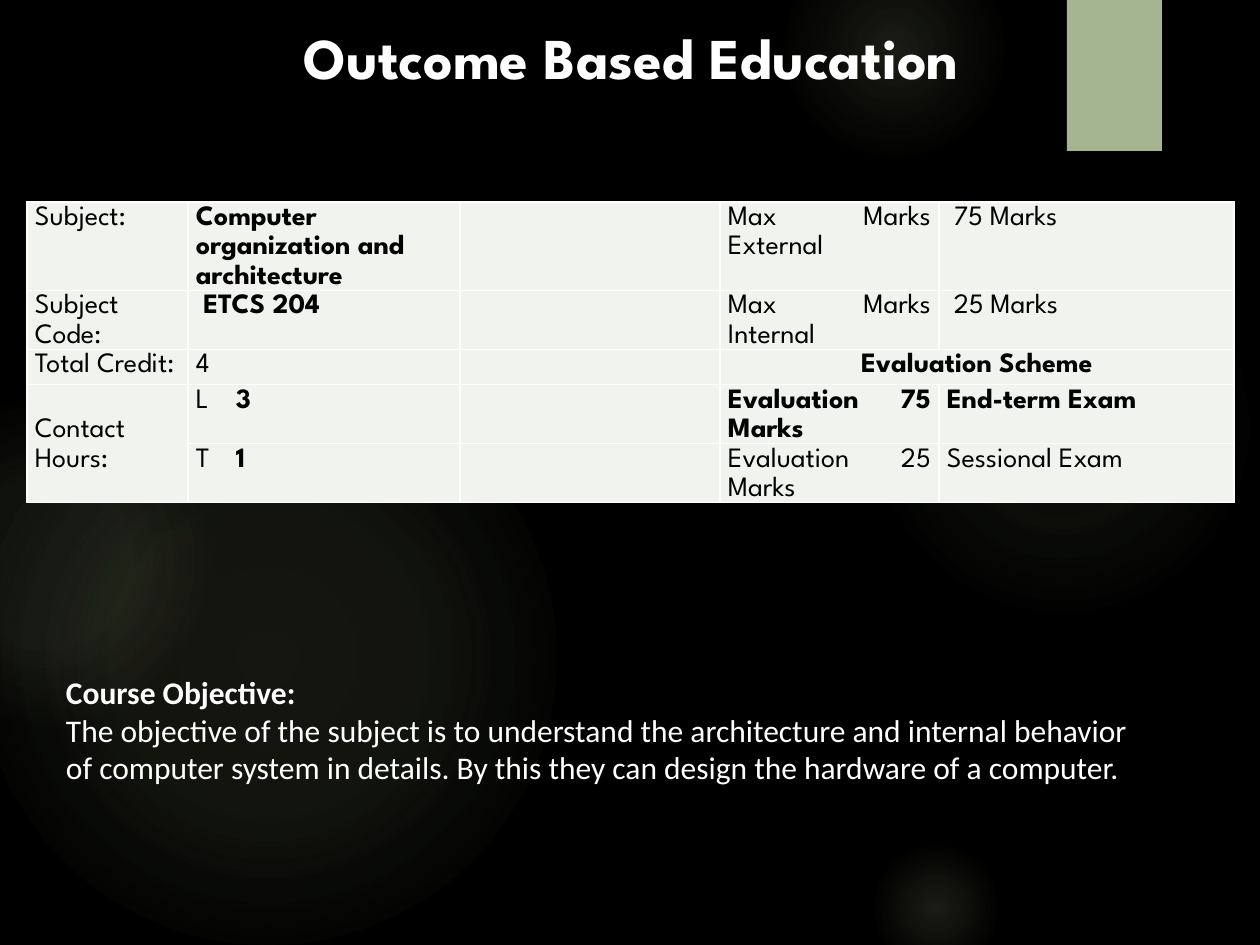
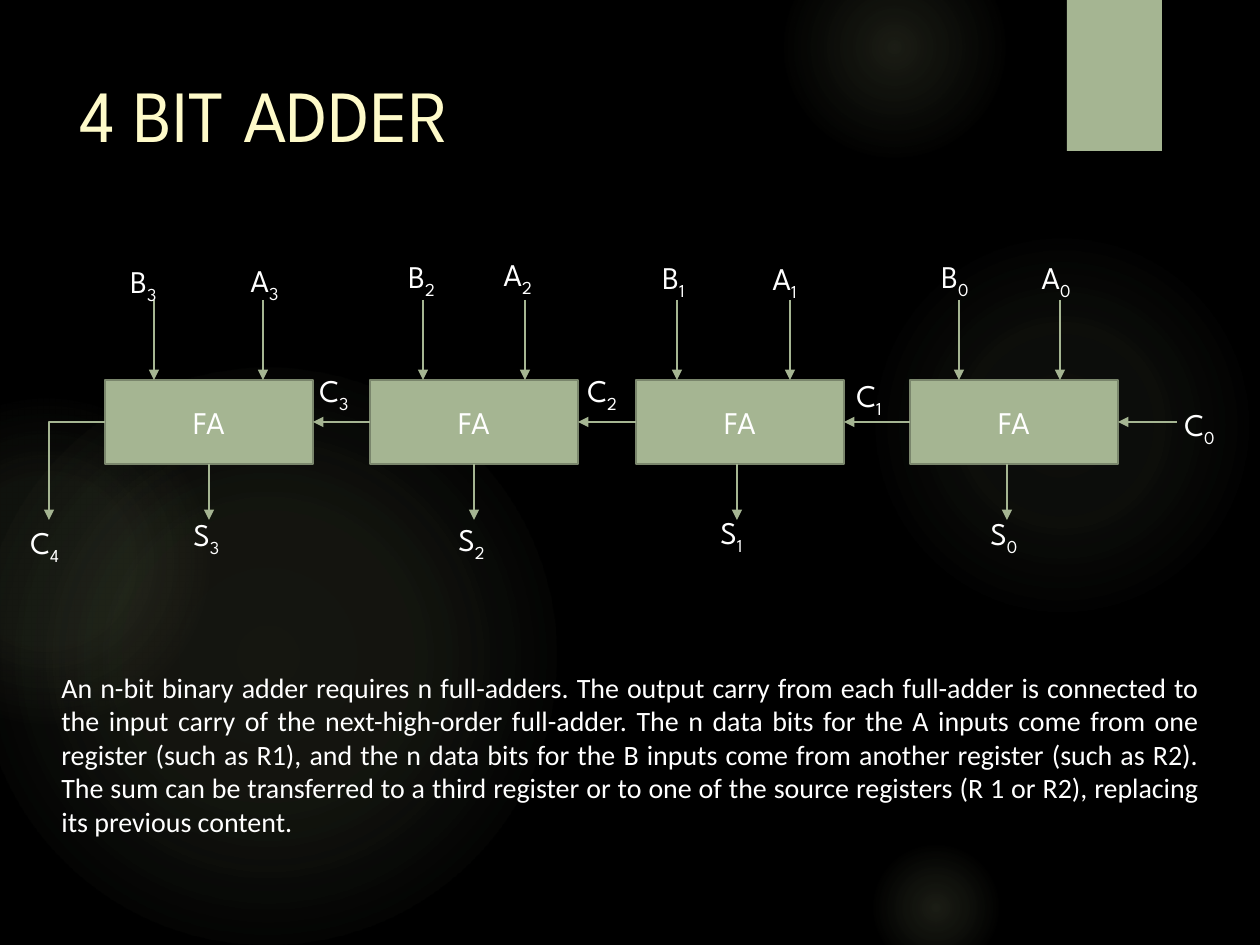
from lxml import etree
from pptx import Presentation
from pptx.dml.color import RGBColor
from pptx.enum.shapes import MSO_CONNECTOR as Wire, MSO_SHAPE as Shape
from pptx.enum.text import MSO_ANCHOR as Anchor, MSO_AUTO_SIZE as Fit, PP_ALIGN as Align
from pptx.oxml import parse_xml
from pptx.oxml.ns import nsdecls, qn
from pptx.util import Pt

PX = 7257.14  # EMU per px, 126 px to the inch
BLACK = RGBColor(0x00, 0x00, 0x00)
WHITE = RGBColor(0xFF, 0xFF, 0xFF)
CREAM = RGBColor(0xFE, 0xFA, 0xC9)
SAGE = RGBColor(0xA5, 0xB5, 0x92)
MOSS = RGBColor(0x7A, 0x86, 0x6C)
PALE = RGBColor(0xF0, 0xF3, 0xEE)
GLOW = RGBColor(0xBE, 0xCB, 0x95)
HEAD, BODY = "League Spartan", "Calibri"


def px(*vals):
    return [round(v * PX) for v in vals]


def write(para, runs, size, color=WHITE, font=HEAD, align=None, gap=None):
    """Add (text, style) runs; style is "", "bold" or "sub"."""
    para.alignment = align
    para.line_spacing = gap
    for text, style in runs:
        run = para.add_run()
        run.text = text
        run.font.size, run.font.name = Pt(size), font
        run.font.bold = style == "bold"
        run.font.color.rgb = color
        if style == "sub":
            run._r.get_or_add_rPr().set("baseline", "-25000")


prs = Presentation()
prs.slide_width, prs.slide_height = px(1260, 945)
layout = prs.slide_layouts[5]
layout.background.fill.solid()
layout.background.fill.fore_color.rgb = BLACK
course = prs.slides.add_slide(layout)
adder = prs.slides.add_slide(layout)

# Shared backdrop: soft glows and the corner band, moved to the layout
glows = [  # left, top, side, stops of (position, opacity)
    (868, 231, 388, ((0, 7), (36, 6), (69, 0))),
    (784, -63, 221, ((0, 14), (36, 7), (73, 0))),
    (868, 840, 136, ((0, 14), (36, 7), (66, 0))),
    (-21, 368, 577, ((0, 11), (36, 10), (75, 0))),
    (-116, 399, 325, ((0, 8), (36, 8), (72, 0))),
]
decor = []
for left, top, side, stops in glows:
    glow = course.shapes.add_shape(Shape.OVAL, *px(left, top, side, side))
    glow.fill.gradient()
    marks = "".join(
        f'<a:gs pos="{pos * 1000}"><a:srgbClr val="{GLOW}">'
        f'<a:alpha val="{alpha * 1000}"/></a:srgbClr></a:gs>'
        for pos, alpha in stops)
    props = glow.element.spPr
    props.replace(props.find(qn("a:gradFill")), parse_xml(
        f'<a:gradFill {nsdecls("a")} rotWithShape="1"><a:gsLst>{marks}</a:gsLst>'
        '<a:path path="circle"><a:fillToRect l="50000" t="50000" r="50000" b="50000"/>'
        '</a:path></a:gradFill>'))
    decor.append(glow)
band = course.shapes.add_shape(Shape.RECTANGLE, *px(1067, 0, 95, 151))
band.fill.solid()
band.fill.fore_color.rgb = SAGE
decor.append(band)
for num, item in enumerate(decor):
    item.line.fill.background()
    item.shadow.inherit = False
    item.element.nvSpPr.cNvPr.set("id", str(20 + num))
    layout.shapes.element.insert(2 + num, item.element)

# Titles
titles = [  # slide, box, text, style, size, color, align, indent
    (course, (122, 15, 971, 82), "Outcome Based Education", "bold", 33, WHITE, Align.CENTER, 48),
    (adder, (67, 63, 973, 193), "4 BIT ADDER", "", 42, CREAM, Align.LEFT, 0),
]
for slide, box, text, style, size, color, align, indent in titles:
    title = slide.shapes.title
    title.left, title.top, title.width, title.height = px(*box)
    frame = title.text_frame
    frame.auto_size, frame.word_wrap = Fit.NONE, True
    frame.vertical_anchor = Anchor.TOP
    para = frame.paragraphs[0]
    write(para, [(text, style)], size, color, align=align)
    para._p.get_or_add_pPr().set("indent", str(px(indent)[0]))

# Course table
cols = [161, 272, 260, 219, 295]
rows = [88, 59, 34, 59, 59]
cells = [
    [[("Subject:", "")], [("Computer organization and architecture", "bold")], [],
     [("Max Marks External", "")], [(" 75 Marks", "")]],
    [[("Subject Code:", "")], [(" ETCS 204", "bold")], [],
     [("Max Marks Internal", "")], [(" 25 Marks", "")]],
    [[("Total Credit:", "")], [("4", "")], [], [("Evaluation Scheme", "bold")], []],
    [[("Contact Hours:", "")], [("L\t", ""), ("3", "bold")], [],
     [("Evaluation 75 Marks", "bold")], [("End-term Exam", "bold")]],
    [[], [("T\t", ""), ("1", "bold")], [],
     [("Evaluation 25 Marks", "")], [("Sessional Exam", "")]],
]
table = course.shapes.add_table(5, 5, *px(27, 202, sum(cols), sum(rows))).table
table.first_row = table.horz_banding = False
for col, width in zip(table.columns, cols):
    col.width = px(width)[0]
for row, height in zip(table.rows, rows):
    row.height = px(height)[0]
for r, line in enumerate(cells):
    for c, runs in enumerate(line):
        cell = table.cell(r, c)
        cell.margin_left, cell.margin_right = px(8, 8)
        cell.margin_top = cell.margin_bottom = 0
        cell.fill.solid()
        cell.fill.fore_color.rgb = PALE
        props = cell._tc.get_or_add_tcPr()
        for i, side in enumerate("LRTB"):
            props.insert(i, parse_xml(
                f'<a:ln{side} {nsdecls("a")} w="12700"><a:solidFill>'
                f'<a:srgbClr val="{WHITE}"/></a:solidFill></a:ln{side}>'))
        align = {(0, 1): Align.LEFT, (2, 3): Align.CENTER}.get((r, c), Align.JUSTIFY)
        para = cell.text_frame.paragraphs[0]
        write(para, runs or [("", "")], 16, BLACK, align=align, gap=1.15)
        if len(runs) == 2:
            tabs = etree.SubElement(para._p.get_or_add_pPr(), qn("a:tabLst"))
            etree.SubElement(tabs, qn("a:tab"), pos=str(px(40)[0]), algn="l")
table.cell(2, 3).merge(table.cell(2, 4))
table.cell(3, 0).merge(table.cell(4, 0))
table.cell(3, 0).vertical_anchor = Anchor.MIDDLE

# Course objective
frame = course.shapes.add_textbox(*px(57, 668, 1102, 123)).text_frame
frame.word_wrap, frame.vertical_anchor = True, Anchor.MIDDLE
frame.margin_left, frame.margin_right, frame.margin_top, frame.margin_bottom = px(9, 9, 5, 5)
write(frame.paragraphs[0], [("Course Objective:", "bold")], 18, font=BODY)
write(frame.add_paragraph(), [(
    "The objective of the subject is to understand the architecture and internal "
    "behavior of computer system in details. By this they can design the hardware "
    "of a computer.", "")], 18, font=BODY)

# Full adders, from bit 3 on the left to bit 0 on the right
TOP, WIDE, HIGH = 380, 208, 84
MID, BASE = TOP + HIGH // 2, TOP + HIGH
lefts = [105, 370, 636, 910]
blocks = []
for left in lefts:
    block = adder.shapes.add_shape(Shape.RECTANGLE, *px(left, TOP, WIDE, HIGH))
    block.shadow.inherit = False
    block.fill.solid()
    block.fill.fore_color.rgb = SAGE
    block.line.color.rgb, block.line.width = MOSS, Pt(1.5)
    block.text_frame.vertical_anchor = Anchor.MIDDLE
    write(block.text_frame.paragraphs[0], [("FA", "")], 18, align=Align.CENTER)
    blocks.append(block)

# Wires: kind, ends, then (block, side) joined at the start and at the end
wires = [(Wire.STRAIGHT, (x, 300, x, TOP), None, None)
         for x in (154, 263, 423, 525, 677, 790, 959, 1060)]
for block, left, x in zip(blocks, lefts, (209, 474, 737, 1007)):
    start = (block, 2) if x == left + WIDE // 2 else None
    wires.append((Wire.STRAIGHT, (x, BASE, x, 520), start, None))
for i, block in enumerate(blocks):
    right = lefts[i] + WIDE
    start = (blocks[i + 1], 1) if i < 3 else None
    wires.append((Wire.STRAIGHT, (right + 59, MID, right, MID), start, (block, 3)))
wires.append((Wire.ELBOW, (lefts[0], MID, 49, 520), None, None))
for kind, ends, start, stop in wires:
    wire = adder.shapes.add_connector(kind, *px(*ends))
    if start:
        wire.begin_connect(*start)
    if stop:
        wire.end_connect(*stop)
    wire.line.color.rgb, wire.line.width = SAGE, Pt(0.75)
    props = wire.element.spPr
    if kind == Wire.ELBOW:
        props.find(qn("a:prstGeom")).set("prst", "bentConnector2")
    etree.SubElement(props.find(qn("a:ln")), qn("a:tailEnd"), type="triangle")
    etree.SubElement(props, qn("a:effectLst"))

# Signal labels: width, then the corner for bit 0, 1, 2 ...
signals = {
    "B": (55, [(929, 251), (650, 252), (396, 251), (118, 256)]),
    "A": (60, [(1029, 252), (760, 253), (491, 249), (238, 255)]),
    "C": (63, [(1172, 399), (844, 370), (575, 365), (307, 365), (18, 517)]),
    "S": (53, [(978, 508), (708, 507), (446, 514), (181, 509)]),
}
for name, (width, spots) in signals.items():
    for bit, (left, top) in enumerate(spots):
        frame = adder.shapes.add_textbox(*px(left, top, width, 50)).text_frame
        frame.word_wrap, frame.auto_size = False, Fit.SHAPE_TO_FIT_TEXT
        write(frame.paragraphs[0], [(name, ""), (str(bit), "sub")], 18)

# Explanation
frame = adder.shapes.add_textbox(*px(49, 664, 1163, 183)).text_frame
frame.word_wrap = True
write(frame.paragraphs[0], [(
    "An n-bit binary adder requires n full-adders. The output carry from each "
    "full-adder is connected to the input carry of the next-high-order full-adder. "
    "The n data bits for the A inputs come from one register (such as R1), and the n "
    "data bits for the B inputs come from another register (such as R2). The sum can "
    "be transferred to a third register or to one of the source registers (R 1 or R2), "
    "replacing its previous content.", "")], 16, font=BODY, align=Align.JUSTIFY)

prs.save("out.pptx")
